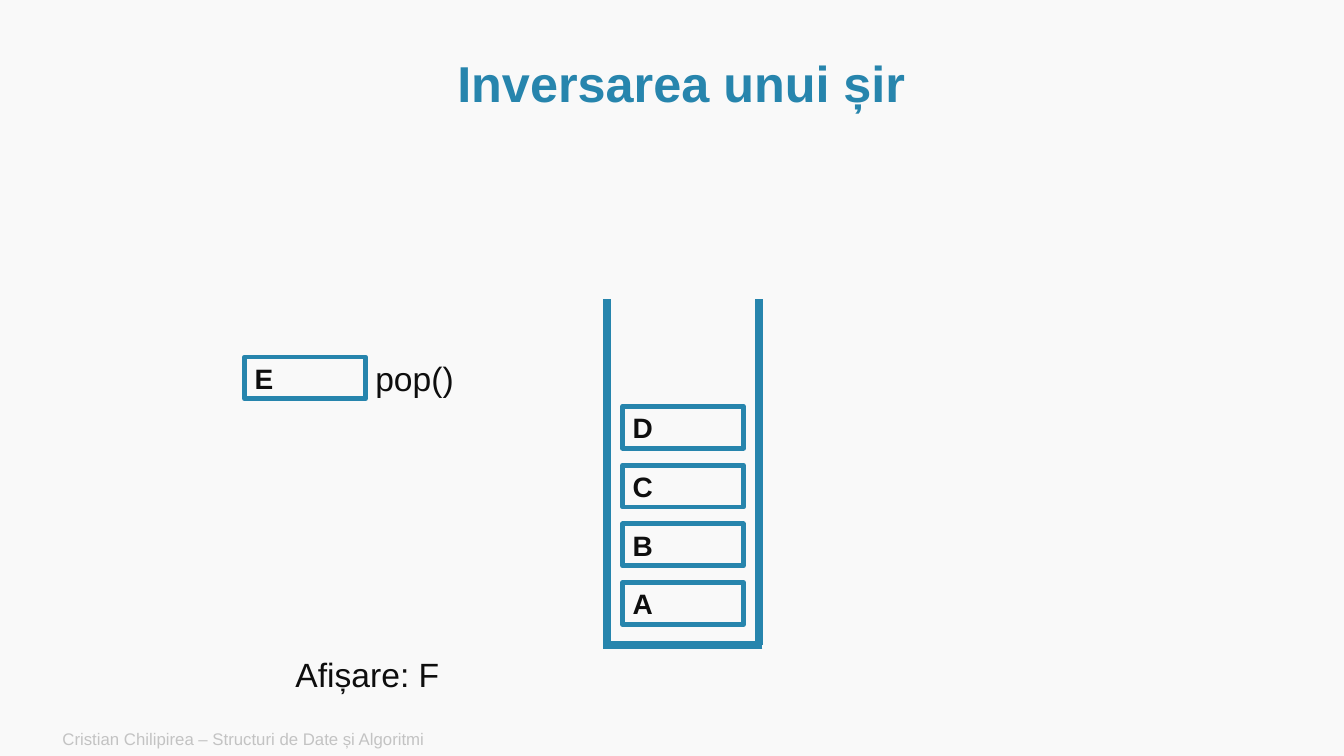
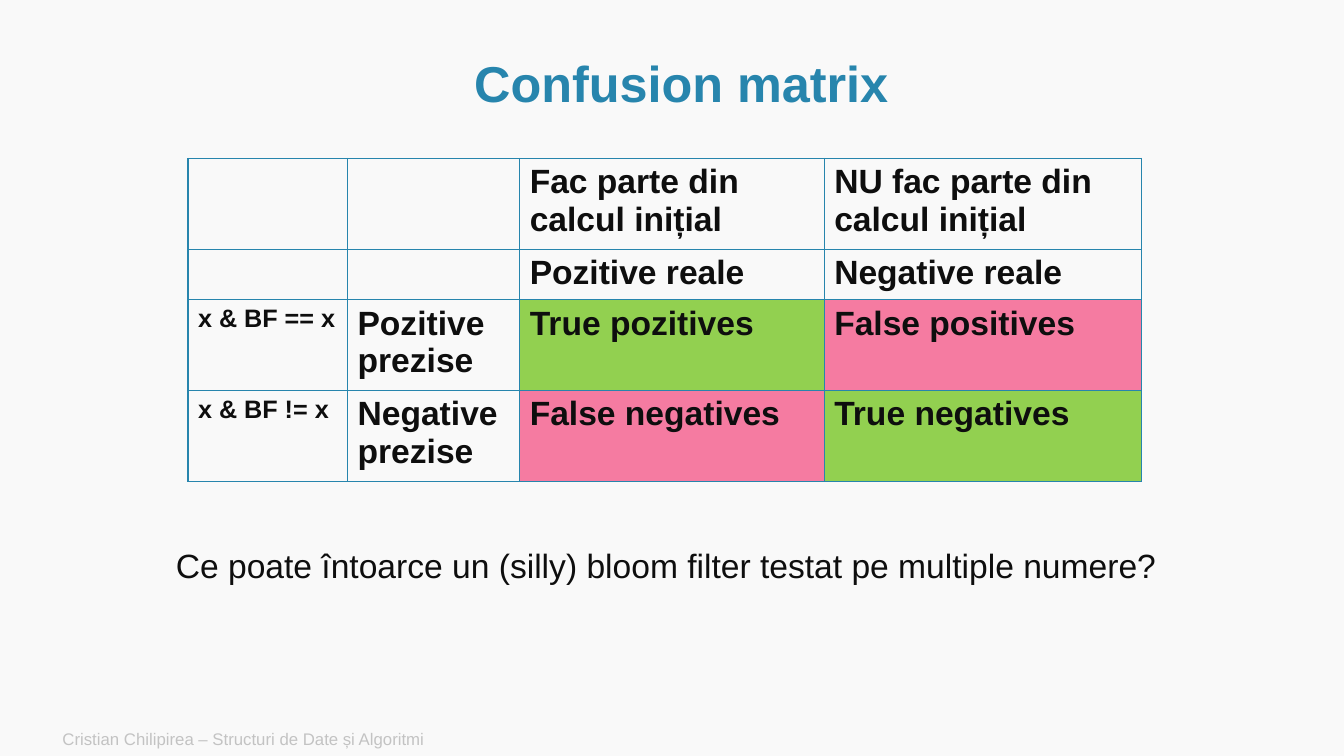
from lxml import etree
from pptx import Presentation
from pptx import util as u
from pptx.dml.color import RGBColor
from pptx.enum import shapes, text
from pptx.oxml import ns

PX = 9525
FONT = "Arial"
PAPER, BLUE, INK, GREY = "F9F9F9", "2785AD", "0E0E0E", "C3C3C3"
GREEN, PINK = "92D050", "F57BA1"
FOOTER = "Cristian Chilipirea – Structuri de Date și Algoritmi"
BLOCK_W, BLOCK_H, BLOCK_STEP = 115, 40, 56


def px(*lengths):
    return [u.Emu(n * PX) for n in lengths]


def rgb(value):
    return RGBColor.from_string(value)


def write(tf, words, size, color=INK, bold=False):
    tf.text = words
    p = tf.paragraphs[0]
    p.font.name = FONT
    p.font.size = u.Pt(size)
    p.font.bold = bold
    p.font.color.rgb = rgb(color)
    return p


def add_band(slide, box, words, size, color, bold=False):
    tf = slide.shapes.add_textbox(*px(*box)).text_frame
    tf.word_wrap = True
    tf.vertical_anchor = text.MSO_ANCHOR.MIDDLE
    return write(tf, words, size, color, bold)


def add_label(slide, box, words):
    tf = slide.shapes.add_textbox(*px(*box)).text_frame
    tf.word_wrap = False
    tf.auto_size = text.MSO_AUTO_SIZE.SHAPE_TO_FIT_TEXT
    write(tf, words, 24)


def add_slide(prs, title):
    slide = prs.slides.add_slide(prs.slide_layouts[6])
    fill = slide.background.fill
    fill.solid()
    fill.fore_color.rgb = rgb(PAPER)
    p = add_band(slide, (97, 49, 1104, 66), title, 36, BLUE, True)
    p.alignment = text.PP_ALIGN.CENTER
    p.line_spacing = 0.9
    add_band(slide, (50, 687, 806, 33), FOOTER, 12, GREY)
    return slide


def add_wall(slide, *ends):
    line = slide.shapes.add_connector(shapes.MSO_CONNECTOR.STRAIGHT, *px(*ends))
    line.line.color.rgb = rgb(BLUE)
    line.line.width = u.Pt(5.5)
    etree.SubElement(line._element.spPr, ns.qn("a:effectLst"))


def add_block(slide, left, top, letter):
    sp = slide.shapes.add_shape(
        shapes.MSO_SHAPE.RECTANGLE, *px(left, top, BLOCK_W, BLOCK_H))
    sp.shadow.inherit = False
    sp.fill.background()
    sp.line.color.rgb = rgb(BLUE)
    sp.line.width = u.Pt(3.5)
    tf = sp.text_frame
    tf.word_wrap = False
    tf.vertical_anchor = text.MSO_ANCHOR.MIDDLE
    write(tf, letter, 20, bold=True).alignment = text.PP_ALIGN.LEFT


def add_borders(cell):
    tc_pr = cell._tc.get_or_add_tcPr()
    for side in ("lnL", "lnR", "lnT", "lnB"):
        ln = etree.SubElement(tc_pr, ns.qn(f"a:{side}"), w=str(u.Pt(1)))
        fill = etree.SubElement(ln, ns.qn("a:solidFill"))
        etree.SubElement(fill, ns.qn("a:srgbClr"), val=BLUE)


def add_matrix(slide, left, top, widths, heights, rows, fills):
    frame = slide.shapes.add_table(
        len(rows), len(widths), *px(left, top, sum(widths), sum(heights)))
    table = frame.table
    table.first_row = table.horz_banding = False
    for col, width in zip(table.columns, px(*widths)):
        col.width = width
    for row, height in zip(table.rows, px(*heights)):
        row.height = height
    for r, row in enumerate(rows):
        for c, words in enumerate(row):
            cell = table.cell(r, c)
            add_borders(cell)
            if (r, c) in fills:
                cell.fill.solid()
                cell.fill.fore_color.rgb = rgb(fills[r, c])
            else:
                cell.fill.background()
            if words:
                write(cell.text_frame, words, 24 if c else 18, bold=True)


def build_stack(prs):
    slide = add_slide(prs, "Inversarea unui șir")
    left, right, top, bottom = 578, 723, 285, 614
    add_wall(slide, left, top, left, bottom)
    add_wall(slide, right + 3, bottom, left - 4, bottom)
    add_wall(slide, right, top, right, bottom)
    for i, letter in enumerate("ABCD"):
        add_block(slide, 593, 555 - i * BLOCK_STEP, letter)
    add_label(slide, (348, 336, 95, 48), "pop()")
    add_block(slide, 233, 340, "E")
    add_label(slide, (272, 618, 157, 48), "Afișare: F")


def build_matrix(prs):
    slide = add_slide(prs, "Confusion matrix")
    rows = [
        ("", "", "Fac parte din calcul inițial", "NU fac parte din calcul inițial"),
        ("", "", "Pozitive reale", "Negative reale"),
        ("x & BF == x", "Pozitive prezise", "True pozitives", "False positives"),
        ("x & BF != x", "Negative prezise", "False negatives", "True negatives"),
    ]
    fills = {(2, 2): GREEN, (2, 3): PINK, (3, 2): PINK, (3, 3): GREEN}
    add_matrix(slide, 179, 151, (152, 164, 290, 302), (81, 45, 81, 81), rows, fills)
    add_label(slide, (158, 514, 963, 48),
              "Ce poate întoarce un (silly) bloom filter testat pe multiple numere?")


def main():
    prs = Presentation()
    prs.slide_width, prs.slide_height = px(1280, 720)
    build_stack(prs)
    build_matrix(prs)
    prs.save("out.pptx")


if __name__ == "__main__":
    main()
